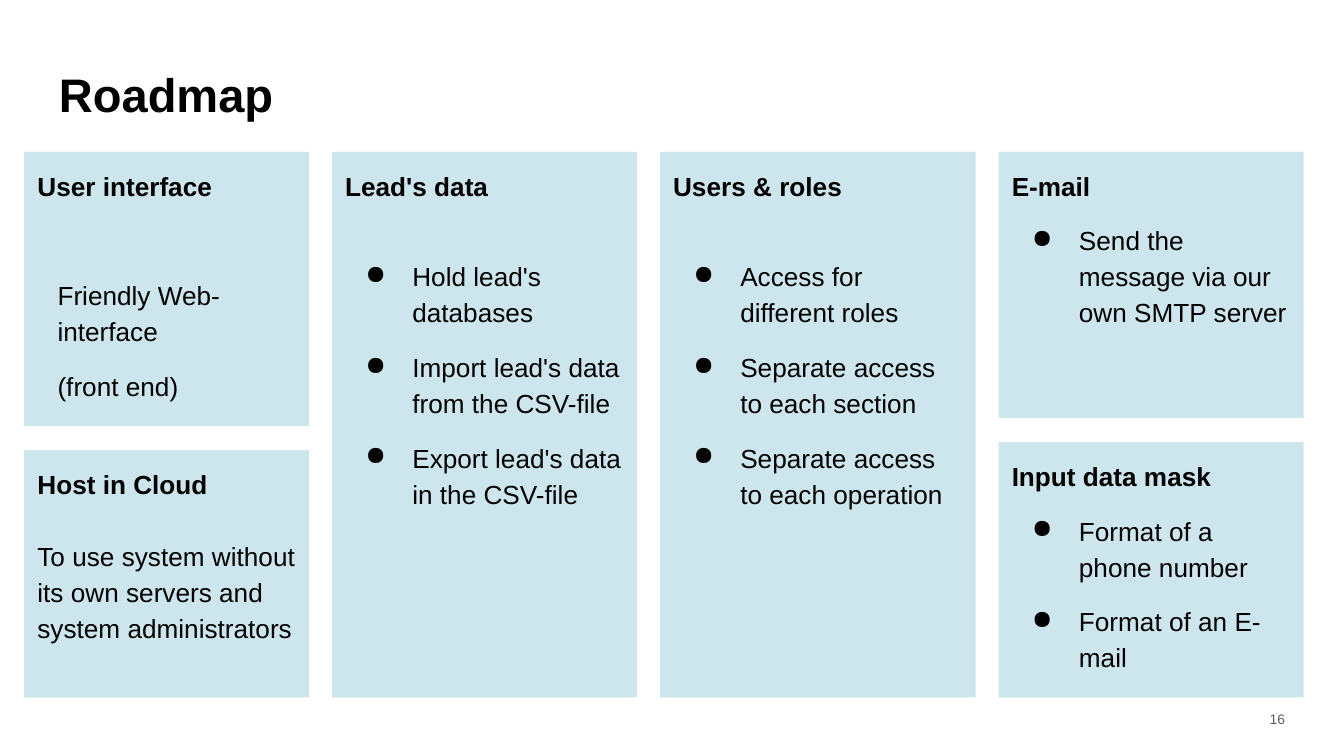
import pptx
import pptx.dml.color
import pptx.enum.shapes
import pptx.enum.text
import pptx.oxml
import pptx.oxml.ns
import pptx.util

RGB = pptx.dml.color.RGBColor
PALE = RGB(0xCD, 0xE6, 0xEE)
BLACK = RGB(0, 0, 0)
GREY = RGB(0x5D, 0x5D, 0x5D)

ALIGN = pptx.enum.text.PP_ALIGN
ANCHOR = pptx.enum.text.MSO_ANCHOR
RECT = pptx.enum.shapes.MSO_SHAPE.RECTANGLE
NS = pptx.oxml.ns.nsdecls("a")

# Grid: one unit is a hundredth of the slide's width, both ways
UNIT = pptx.util.Inches(0.1)
WIDE, HIGH = 100, 56.25
LEFT, TOP, END = 1.8, 11.3, 51.9
GUTTER, GAP = 1.7, 1.8

# Paragraph styles: indent and first line in grid units
STYLES = {
    "plain": (0, 0),
    "inset": (1.5, 0),
    "bullet": (5, -3.5),
}
HEAD = {"size": pptx.util.Pt(14), "bold": True}
BODY = {"size": pptx.util.Pt(14), "bold": False}

# Each column: width, then cards of
# (height or None for the rest, heading, style, first gap in points, items)
COLUMNS = [
    (21.2, [
        (20.4, "User interface", "inset", 39.3,
         ["Friendly Web-interface", "(front end)"]),
        (None, "Host in Cloud", "plain", 19.3,
         ["To use system without its own servers and system administrators"]),
    ]),
    (22.7, [
        (None, "Lead's data", "bullet", 29.3,
         ["Hold lead's databases",
          "Import lead's data from the CSV-file",
          "Export lead's data in the CSV-file"]),
    ]),
    (23.5, [
        (None, "Users & roles", "bullet", 29.3,
         ["Access for different roles",
          "Separate access to each section",
          "Separate access to each operation"]),
    ]),
    (22.7, [
        (19.8, "E-mail", "bullet", 10,
         ["Send the message via our own SMTP server"]),
        (None, "Input data mask", "bullet", 10,
         ["Format of a phone number", "Format of an E-mail"]),
    ]),
]


def units(*sizes):
    return [round(size * UNIT) for size in sizes]


def apply(target, values):
    for name, value in values.items():
        setattr(target, name, value)


def frame(shape, anchor):
    text = shape.text_frame
    apply(text, {"word_wrap": True, "vertical_anchor": anchor})
    for side in ("left", "right", "top", "bottom"):
        setattr(text, f"margin_{side}", UNIT)
    return text


def write(para, words, font, color=BLACK, style="plain", **form):
    indent, first = units(*STYLES[style])
    props = para._p.get_or_add_pPr()
    props.set("marL", str(indent))
    props.set("indent", str(first))
    if style == "bullet":
        for xml in (f'<a:buClr {NS}><a:srgbClr val="{BLACK}"/></a:buClr>',
                    f'<a:buChar {NS} char="●"/>'):
            props.append(pptx.oxml.parse_xml(xml))
    apply(para, {"alignment": ALIGN.LEFT, **form})
    run = para.add_run()
    run.text = words
    apply(run.font, {"name": "Arial", **font})
    run.font.color.rgb = color


def label(slide, box, words, font, **form):
    shape = slide.shapes.add_textbox(*units(*box))
    text = frame(shape, ANCHOR.MIDDLE)
    write(text.paragraphs[0], words, font, **form)


def card(slide, box, title, style, gap, items):
    shape = slide.shapes.add_shape(RECT, *units(*box))
    shape.shadow.inherit = False
    shape.fill.solid()
    shape.fill.fore_color.rgb = PALE
    shape.line.fill.background()
    text = frame(shape, ANCHOR.TOP)
    write(text.paragraphs[0], title, HEAD, line_spacing=1.15)
    for index, item in enumerate(items):
        space = 10 if index else gap
        write(text.add_paragraph(), item, BODY, style=style,
              line_spacing=1.15, space_before=pptx.util.Pt(space))


def column(slide, box, cards):
    left, top, width, height = box
    end = top + height
    for tall, *content in cards:
        tall = tall or end - top
        card(slide, (left, top, width, tall), *content)
        top += tall + GAP


def board(slide, box):
    left, top, height = box
    for width, cards in COLUMNS:
        column(slide, (left, top, width, height), cards)
        left += width + GUTTER


def main():
    deck = pptx.Presentation()
    deck.slide_width, deck.slide_height = units(WIDE, HIGH)
    slide = deck.slides.add_slide(deck.slide_layouts[6])

    # Title
    label(slide, (3.4, 3.8, 89.1, 6.3), "Roadmap",
          {"size": pptx.util.Pt(25.2), "bold": True})
    # Cards
    board(slide, (LEFT, TOP, END - TOP))
    # Page number
    label(slide, (92.6, 52.1, 4, 3), "16", {"size": pptx.util.Pt(7.4)},
          color=GREY, alignment=ALIGN.RIGHT, line_spacing=0.8)

    deck.save("out.pptx")


if __name__ == "__main__":
    main()
